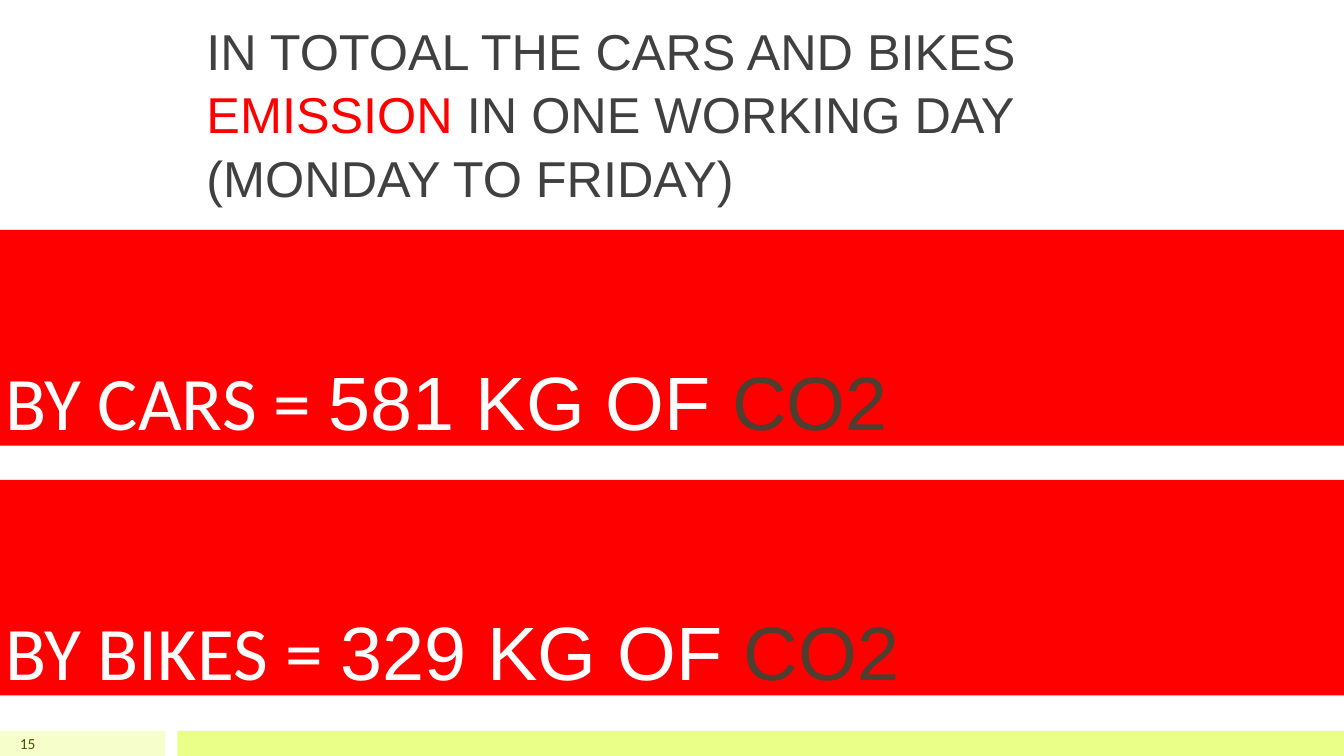
from pptx import Presentation
from pptx.dml.color import RGBColor
from pptx.enum.shapes import MSO_SHAPE
from pptx.enum.text import MSO_ANCHOR, PP_ALIGN
from pptx.util import Inches, Pt

# Content: runs are (text, font, colour)
HEADING = [
    ("IN TOTOAL THE CARS AND BIKES ", "Arial", "404040"),
    ("EMISSION", "Arial", "FF0000"),
    (" IN ONE WORKING DAY (MONDAY TO FRIDAY)", "Arial", "404040"),
]
EMISSIONS = [("BY CARS = ", "581 KG OF "), ("BY BIKES = ", "329 KG OF ")]
PAGE_NUMBER = [("15", "Calibri", "455500")]
FOOTER_BARS = [(0, 1.64, "F6FFCC"), (1.76, 11.57, "E9FF88")]

WIDTH, HEIGHT = 13.33, 7.5
FOOTER_HEIGHT = 0.25
FOOTER_TOP = HEIGHT - FOOTER_HEIGHT
BAND_TOP, BAND_HEIGHT, BAND_STEP = 2.28, 2.14, 2.48


def colour(value):
    return RGBColor.from_string(value)


def paint(shape, value):
    shape.fill.solid()
    shape.fill.fore_color.rgb = colour(value)
    shape.line.fill.background()


def add_bar(left, top, width, height, value):
    bar = page.shapes.add_shape(MSO_SHAPE.RECTANGLE, Inches(left), Inches(top),
                                Inches(width), Inches(height))
    bar.shadow.inherit = False
    paint(bar, value)
    return bar


def write(shape, spans, size, anchor, align=PP_ALIGN.LEFT, spacing=1.0):
    frame = shape.text_frame
    frame.word_wrap = True
    frame.vertical_anchor = anchor
    para = frame.paragraphs[0]
    para.alignment = align
    para.line_spacing = spacing
    para.font.size = Pt(size)
    for text, font, value in spans:
        span = para.add_run()
        span.text = text
        span.font.size = Pt(size)
        span.font.name = font
        span.font.color.rgb = colour(value)
    return frame


def add_text(left, top, width, height, *style, **options):
    box = page.shapes.add_textbox(Inches(left), Inches(top), Inches(width), Inches(height))
    write(box, *style, **options)


deck = Presentation()
deck.slide_width, deck.slide_height = Inches(WIDTH), Inches(HEIGHT)
page = deck.slides.add_slide(deck.slide_layouts[5])

# Footer bars and page number
for left, width, value in FOOTER_BARS:
    add_bar(left, FOOTER_TOP, width, FOOTER_HEIGHT, value)
add_text(0, FOOTER_TOP, 0.45, FOOTER_HEIGHT, PAGE_NUMBER, 11, MSO_ANCHOR.MIDDLE,
         align=PP_ALIGN.RIGHT)

# Heading above the bands
add_text(1.95, 0.12, 10, 1.92, HEADING, 36, MSO_ANCHOR.TOP, spacing=1.05)

# Emission bands: the first is the slide title
for index, (source, amount) in enumerate(EMISSIONS):
    top = BAND_TOP + index * BAND_STEP
    if index == 0:
        band = page.shapes.title
        band.left, band.top = Inches(0), Inches(top)
        band.width, band.height = Inches(WIDTH), Inches(BAND_HEIGHT)
        paint(band, "FF0000")
    else:
        band = add_bar(0, top, WIDTH, BAND_HEIGHT, "FF0000")
    spans = [(source, "Calibri", "FFFFFF"), (amount, "Arial", "FFFFFF"),
             ("CO2", "Arial", "4D3E2F")]
    frame = write(band, spans, 54, MSO_ANCHOR.BOTTOM)
    frame.margin_left = Inches(0.05)
    frame.margin_bottom = 0

deck.save("out.pptx")
